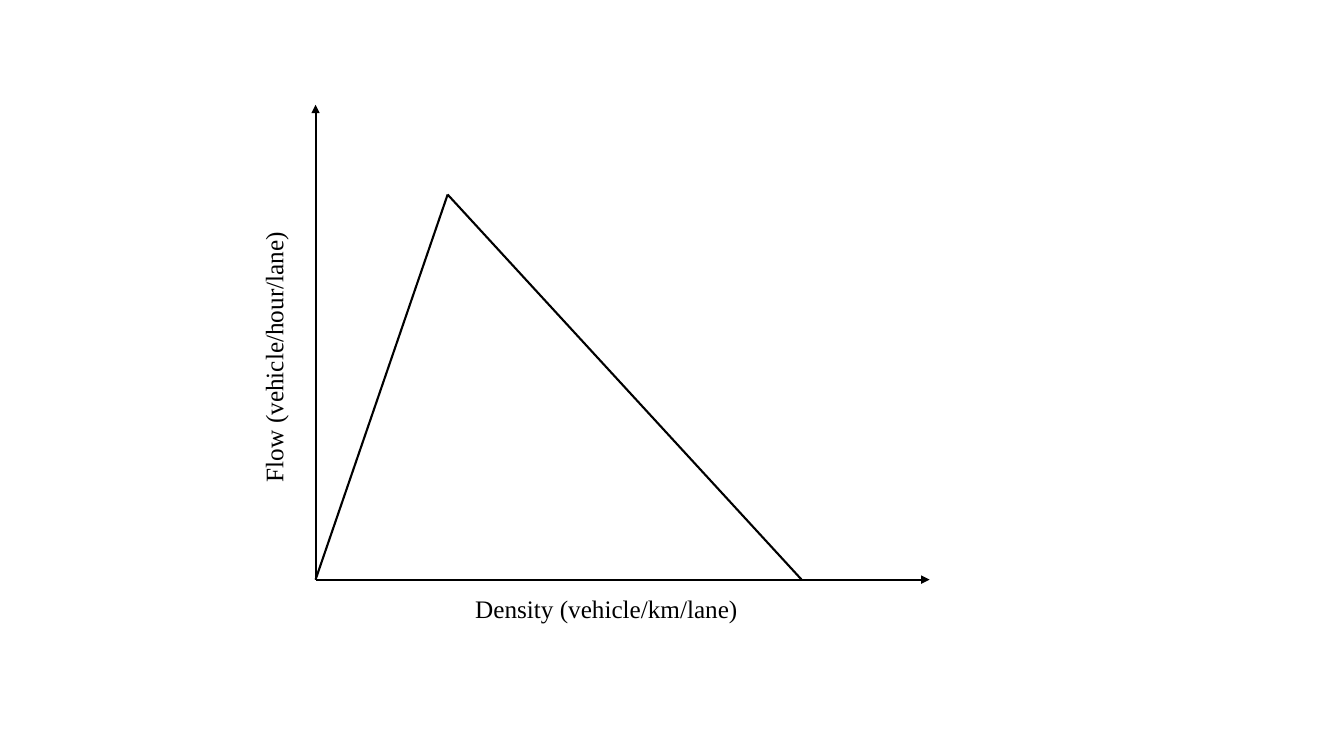
"""Build a slide with a triangular flow-density diagram of road traffic."""
from lxml import etree
from pptx import Presentation
from pptx.dml.color import RGBColor
from pptx.enum.shapes import MSO_CONNECTOR as Connector
from pptx.enum.text import MSO_AUTO_SIZE as AutoSize, PP_ALIGN as Align
from pptx.oxml.ns import qn
from pptx.util import Inches, Pt

BLACK = RGBColor(0, 0, 0)

deck = Presentation()
deck.slide_width, deck.slide_height = Inches(13.33), Inches(7.5)
slide = deck.slides.add_slide(deck.slide_layouts[6])


def add_line(start, end, arrow):
    line = slide.shapes.add_connector(
        Connector.STRAIGHT, *(Inches(value) for value in start + end))
    line.line.color.rgb = BLACK
    line.line.width = Pt(1.5)
    if arrow:
        etree.SubElement(line.line._get_or_add_ln(), qn("a:tailEnd"), type="triangle")
    etree.SubElement(line._element.spPr, qn("a:effectLst"))


def add_label(text, left, top, width, height, align):
    label = slide.shapes.add_textbox(
        Inches(left), Inches(top), Inches(width), Inches(height))
    frame = label.text_frame
    frame.word_wrap = True
    frame.auto_size = AutoSize.SHAPE_TO_FIT_TEXT
    frame.text = text
    paragraph = frame.paragraphs[0]
    paragraph.alignment = align
    paragraph.font.name = "Times New Roman"
    paragraph.font.size = Pt(18)
    paragraph.font.color.rgb = BLACK
    return label


origin = (3.13, 5.75)
capacity = (4.44, 1.93)
jam_density = (7.95, 5.75)

for axis_end in ((9.22, 5.75), (3.13, 1.04)):
    add_line(origin, axis_end, True)
for zero_flow in (origin, jam_density):
    add_line(zero_flow, capacity, False)

add_label("Density (vehicle/km/lane)", 3.63, 5.84, 4.77, 0.4, Align.CENTER)
flow_label = add_label("Flow (vehicle/hour/lane)", 2.51, 1.94, 0.5, 2.94, Align.LEFT)
flow_label.rotation = 180
flow_label.text_frame._txBody.bodyPr.set("vert", "eaVert")

deck.save("out.pptx")
